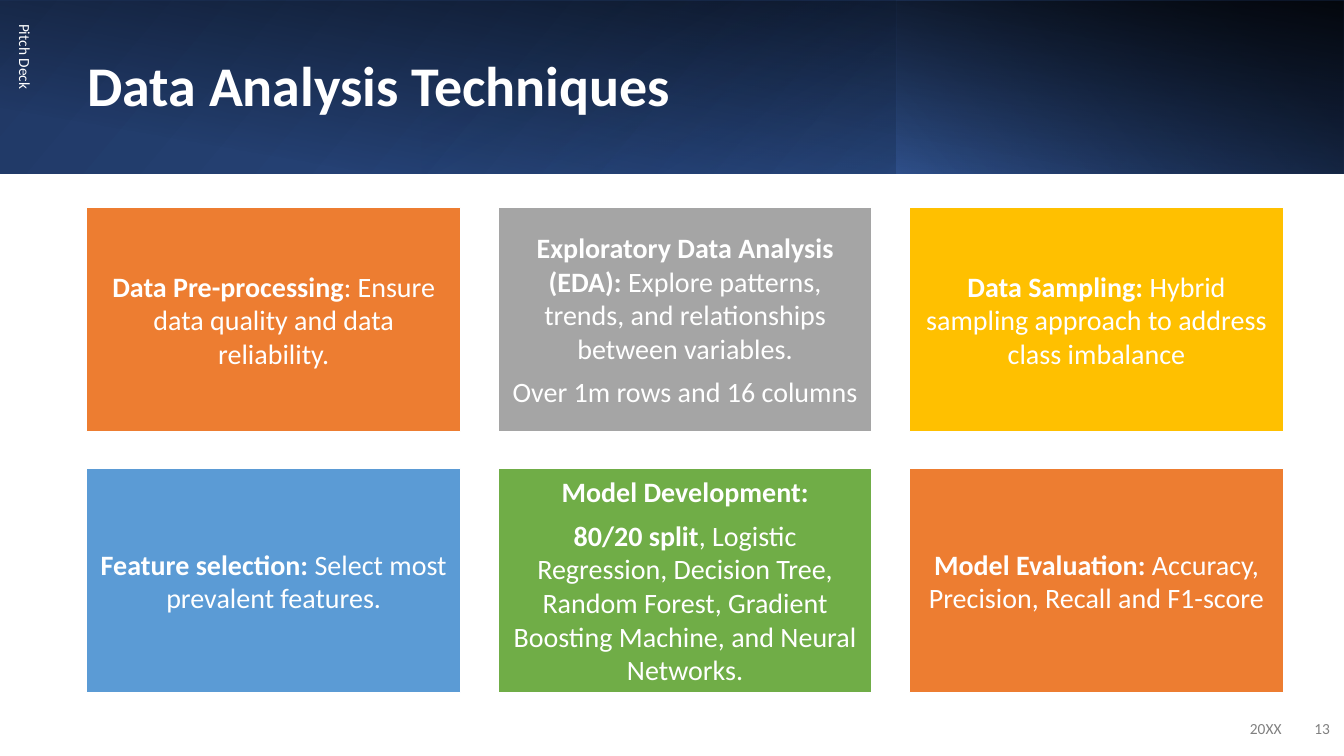
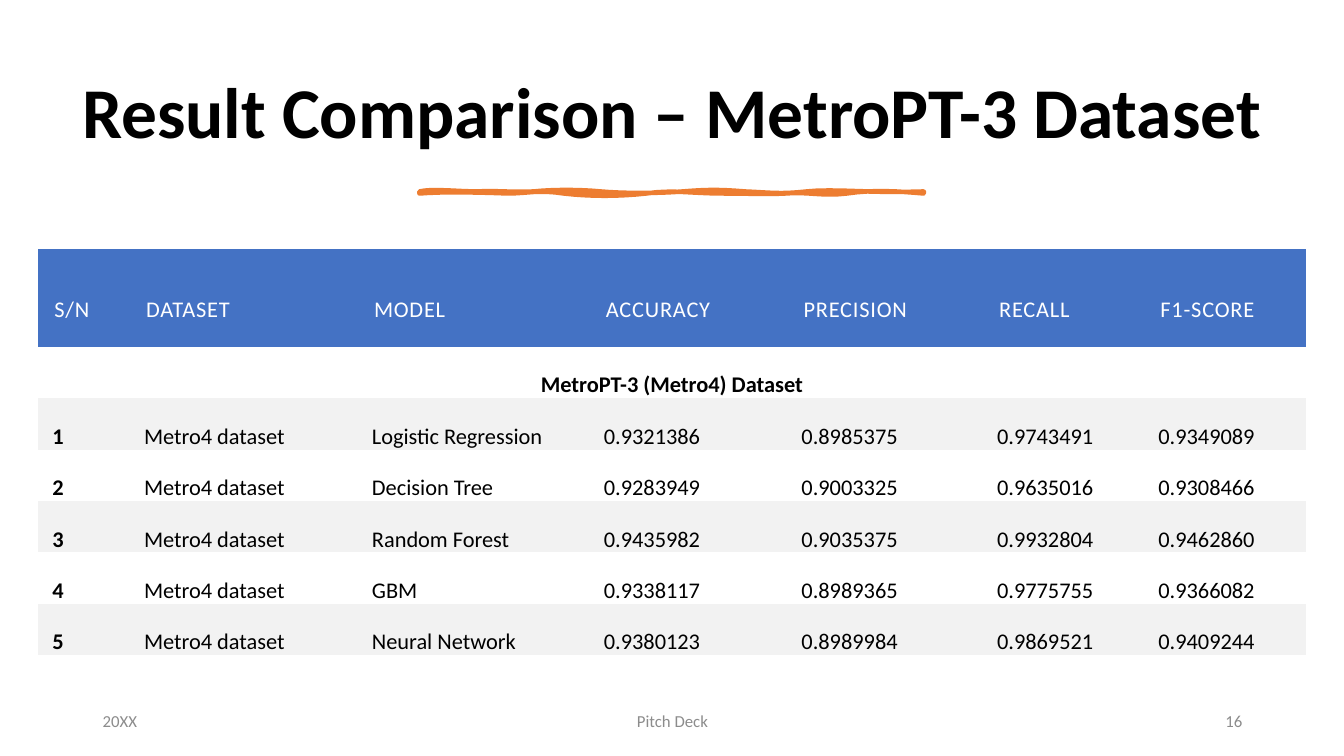
from lxml import etree
from pptx import Presentation
from pptx.dml.color import RGBColor
from pptx.enum.shapes import MSO_SHAPE
from pptx.enum.text import MSO_ANCHOR, PP_ALIGN
from pptx.oxml import parse_xml
from pptx.oxml.ns import nsdecls, qn
from pptx.util import Inches, Pt

FONT = "Calibri"
WHITE, BLACK = "FFFFFF", "000000"
NAVY, ROYAL, BLUE = "203864", "2F5597", "4472C4"
ORANGE, GRAY, GOLD, SKY, GREEN = "ED7D31", "A5A5A5", "FFC000", "5B9BD5", "70AD47"
DIM, PALE, STRIPE = "808080", "8C8C8C", "F2F2F2"
LEFT, CENTER, RIGHT, JUSTIFY = PP_ALIGN.LEFT, PP_ALIGN.CENTER, PP_ALIGN.RIGHT, PP_ALIGN.JUSTIFY
NO_STYLE_NO_GRID = "{2D5ABB26-0587-4C30-8999-92F81FD0307C}"


def paint(fill, hex_color):
    """Give a shape, line, cell or font fill one solid colour."""
    fill.solid()
    fill.fore_color.rgb = RGBColor.from_string(hex_color)


def write(frame, paragraphs, size, hex_color, align=LEFT, after=0, spacing=None):
    """Write paragraphs, each a list of (text, bold) runs, into a text frame."""
    frame.word_wrap = True
    for number, runs in enumerate(paragraphs):
        para = frame.add_paragraph() if number else frame.paragraphs[0]
        para.alignment = align
        para.space_after = Pt(after)
        para.line_spacing = spacing
        for text, bold in runs:
            span = para.add_run()
            span.text = text
            span.font.name = FONT
            span.font.size = Pt(size)
            span.font.bold = bold
            paint(span.font.fill, hex_color)


deck = Presentation()
deck.slide_width, deck.slide_height = Inches(13.33), Inches(7.5)
blank = deck.slide_layouts[6]
techniques, results = deck.slides.add_slide(blank), deck.slides.add_slide(blank)

# Title band: layered gradients, each stop is (position, colour, opacity)
bands = [
    ((0, 0, 13.33, 1.72), 0, True, 140, [(0, NAVY, 100), (100, ROYAL, 100)]),
    ((8.89, 0, 4.44, 1.72), 180, False, 320, [(19, NAVY, 68), (100, BLUE, 79)]),
    ((5.8, -5.8, 1.72, 13.33), 90, False, 190, [(16, BLACK, 0), (99, BLACK, 87)]),
    ((4.18, 0, 4.71, 1.72), 0, False, 240, [(0, BLUE, 17), (74, NAVY, 0)]),
]
for place, turn, flipped, angle, stops in bands:
    band = techniques.shapes.add_shape(MSO_SHAPE.RECTANGLE, *map(Inches, place))
    band.rotation = turn
    band.shadow.inherit = False
    band.line.fill.background()
    band.fill.background()
    properties = band.element.spPr
    if flipped:
        properties.find(qn("a:xfrm")).set("flipH", "1")
    stop_xml = "".join(
        f'<a:gs pos="{position * 1000}"><a:srgbClr val="{hex_color}">'
        f'<a:alpha val="{opacity * 1000}"/></a:srgbClr></a:gs>'
        for position, hex_color, opacity in stops)
    gradient = parse_xml(
        f'<a:gradFill {nsdecls("a")} rotWithShape="1"><a:gsLst>{stop_xml}</a:gsLst>'
        f'<a:lin ang="{angle * 60000}" scaled="0"/></a:gradFill>')
    properties.replace(properties.find(qn("a:noFill")), gradient)

# Titles and footers of both slides
labels = [
    (techniques, "Data Analysis Techniques", (0.77, 0.39, 7.76, 0.98), 0, 40, WHITE, True, LEFT),
    (techniques, "Pitch Deck", (-2, 2.19, 4.5, 0.4), 90, 11, WHITE, False, LEFT),
    (techniques, "20XX", (9.81, 7.03, 3, 0.4), 0, 11, DIM, False, RIGHT),
    (techniques, "13", (12.8, 7.03, 0.49, 0.4), 0, 11, DIM, False, RIGHT),
    (results, "Result Comparison – MetroPT-3 Dataset", (0.7, 0.46, 11.93, 1.37), 0, 51, BLACK, True, CENTER),
    (results, "20XX", (0.92, 6.95, 3, 0.4), 0, 12, PALE, False, LEFT),
    (results, "Pitch Deck", (4.42, 6.95, 4.5, 0.4), 0, 12, PALE, False, CENTER),
    (results, "16", (9.42, 6.95, 3, 0.4), 0, 12, PALE, False, RIGHT),
]
for page, text, place, turn, size, hex_color, is_title, align in labels:
    label = page.shapes.add_textbox(*map(Inches, place))
    label.rotation = turn
    label.text_frame.vertical_anchor = MSO_ANCHOR.MIDDLE
    write(label.text_frame, [[(text, is_title)]], size, hex_color, align,
          after=0 if is_title else 6, spacing=0.9 if is_title else None)

# Technique boxes, three to a row
boxes = [
    (ORANGE, [[("Data Pre-processing", True), (": Ensure data quality and data reliability.", False)]]),
    (GRAY, [[("Exploratory Data Analysis (EDA):", True),
             (" Explore patterns, trends, and relationships between variables.", False)],
            [("Over 1m rows and 16 columns", False)]]),
    (GOLD, [[("Data Sampling:", True), (" Hybrid sampling approach to address class imbalance", False)]]),
    (SKY, [[("Feature selection:", True), (" Select most prevalent features.", False)]]),
    (GREEN, [[("Model Development:", True)],
             [("80/20 split", True),
              (", Logistic Regression, Decision Tree, Random Forest, Gradient Boosting Machine, "
               "and Neural Networks.", False)]]),
    (ORANGE, [[("Model Evaluation:", True), (" Accuracy, Precision, Recall and F1-score", False)]]),
]
for number, (hex_color, paragraphs) in enumerate(boxes):
    row, column = divmod(number, 3)
    box = techniques.shapes.add_shape(
        MSO_SHAPE.RECTANGLE, Inches(0.86 + 4.08 * column), Inches(2.06 + 2.59 * row),
        Inches(3.71), Inches(2.22))
    box.shadow.inherit = False
    paint(box.fill, hex_color)
    paint(box.line.fill, WHITE)
    box.line.width = Pt(1)
    frame = box.text_frame
    frame.vertical_anchor = MSO_ANCHOR.MIDDLE
    frame.margin_left = frame.margin_right = frame.margin_top = frame.margin_bottom = Inches(0.08)
    write(frame, paragraphs, 20, WHITE, CENTER, after=7)

# Hand-drawn rule under the title: Bezier segments (two controls, end) as short lines
start = (4.16, 1.9)
curves = [
    ((4.28, 1.87), (4.54, 1.9), (4.73, 1.9)), ((4.92, 1.89), (5.09, 1.91), (5.29, 1.9)),
    ((5.49, 1.88), (5.74, 1.88), (5.96, 1.9)), ((6.17, 1.92), (6.53, 1.92), (6.77, 1.9)),
    ((7.02, 1.88), (7.14, 1.88), (7.39, 1.9)), ((7.63, 1.91), (7.74, 1.93), (8, 1.9)),
    ((8.26, 1.87), (8.67, 1.92), (9.16, 1.9)), ((9.17, 1.91), (9.16, 1.91), (9.16, 1.92)),
    ((8.95, 1.9), (8.65, 1.88), (8.4, 1.92)), ((8.15, 1.95), (8.01, 1.9), (7.79, 1.92)),
    ((7.56, 1.93), (7.47, 1.92), (7.17, 1.92)), ((6.87, 1.92), (6.67, 1.88), (6.41, 1.92)),
    ((6.14, 1.95), (5.85, 1.95), (5.59, 1.92)), ((5.34, 1.88), (5.23, 1.92), (5.03, 1.92)),
    ((4.83, 1.91), (4.38, 1.9), (4.16, 1.92)),
]
steps = 8
outline = []
here = start
for first, second, end in curves:
    for step in range(1, steps + 1):
        t = step / steps
        outline.append(tuple(
            Inches((1 - t) ** 3 * a + 3 * (1 - t) ** 2 * t * b + 3 * (1 - t) * t ** 2 * c + t ** 3 * d)
            for a, b, c, d in zip(here, first, second, end)))
    here = end
builder = results.shapes.build_freeform(*map(Inches, start))
builder.add_line_segments(outline, close=True)
rule = builder.convert_to_shape()
rule.shadow.inherit = False
paint(rule.fill, ORANGE)
paint(rule.line.fill, ORANGE)
rule.line.width = Pt(3.25)
etree.SubElement(rule.line.fill._xPr, qn("a:round"))

# Results table
header = ["S/N", "DATASET", "MODEL", "ACCURACY", "PRECISION", "RECALL", "F1-SCORE"]
scores = [
    ("Logistic Regression", "0.9321386", "0.8985375", "0.9743491", "0.9349089"),
    ("Decision Tree", "0.9283949", "0.9003325", "0.9635016", "0.9308466"),
    ("Random Forest", "0.9435982", "0.9035375", "0.9932804", "0.9462860"),
    ("GBM", "0.9338117", "0.8989365", "0.9775755", "0.9366082"),
    ("Neural Network", "0.9380123", "0.8989984", "0.9869521", "0.9409244"),
]
rows = [header, ["MetroPT-3 (Metro4) Dataset"]]
rows += [[str(number), "Metro4 dataset", *score] for number, score in enumerate(scores, 1)]
widths = [0.91, 2.26, 2.3, 1.96, 1.94, 1.6, 1.6]

table = results.shapes.add_table(
    len(rows), len(widths), Inches(0.38), Inches(2.47), Inches(12.57), Inches(3.92)).table
table.first_row = table.horz_banding = False
table._tbl.tblPr.find(qn("a:tableStyleId")).text = NO_STYLE_NO_GRID
for column, width in zip(table.columns, widths):
    column.width = Inches(width)
table.cell(1, 0).merge(table.cell(1, len(widths) - 1))

for row_number, texts in enumerate(rows):
    is_header, is_section = row_number == 0, row_number == 1
    table.rows[row_number].height = Inches(0.97 if is_header else 0.49)
    for column_number, text in enumerate(texts):
        cell = table.cell(row_number, column_number)
        cell.margin_left = cell.margin_right = Inches(0.16 if is_header else 0.14)
        cell.margin_top, cell.margin_bottom = Inches(0.11), 0
        cell.vertical_anchor = MSO_ANCHOR.MIDDLE if row_number < 2 else MSO_ANCHOR.TOP
        if is_header:
            paint(cell.fill, BLUE)
        elif row_number % 2 == 0:
            paint(cell.fill, STRIPE)
        else:
            cell.fill.background()
        bold = not is_header and column_number == 0
        write(cell.text_frame, [[(text, bold)]], 16, WHITE if is_header else BLACK,
              CENTER if is_section else JUSTIFY, after=8, spacing=1.5)
        if is_header:
            cell.text_frame.paragraphs[0].runs[0].font._element.set("spc", "60")

deck.save("out.pptx")
